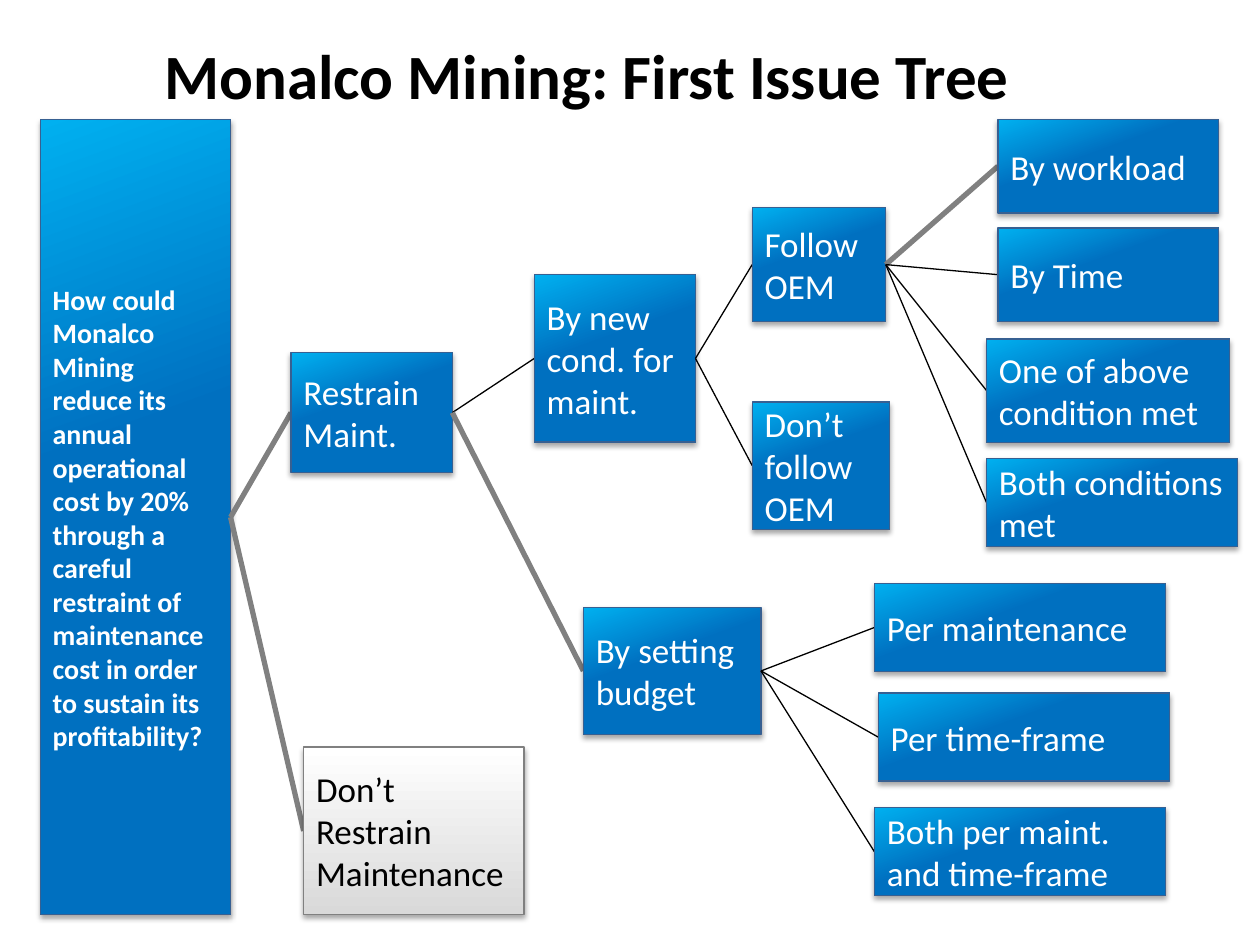
from dataclasses import dataclass

from lxml import etree
from pptx import Presentation
from pptx.dml.color import RGBColor
from pptx.enum.shapes import MSO_CONNECTOR, MSO_SHAPE
from pptx.enum.text import MSO_ANCHOR, MSO_AUTO_SIZE, PP_ALIGN
from pptx.oxml.ns import qn
from pptx.util import Inches, Pt

RECTANGLE = MSO_SHAPE.RECTANGLE
STRAIGHT = MSO_CONNECTOR.STRAIGHT
TOP, MIDDLE = MSO_ANCHOR.TOP, MSO_ANCHOR.MIDDLE
FIT_SHAPE = MSO_AUTO_SIZE.SHAPE_TO_FIT_TEXT
LEFT, CENTER = PP_ALIGN.LEFT, PP_ALIGN.CENTER
LEFT_SIDE, RIGHT_SIDE = 1, 3
TITLE_ONLY = 5
COLUMNS, ROWS = 100, 75
WIDTH, HEIGHT = Inches(10), Inches(7.5)


@dataclass(frozen=True)
class NodeStyle:
    """Look of one kind of tree node."""
    start: str
    end: str
    end_position: float
    angle: int
    outline: str
    ink: str


@dataclass(frozen=True)
class Theme:
    """Colours, type sizes and line widths of the slide."""
    font: str = "Calibri"
    title_size: int = 36
    question_size: int = 16
    node_size: int = 20
    title_ink: str = "000000"
    branch: tuple = ("000000", 0.75)
    main_branch: tuple = ("808080", 3)
    outline_width: float = 0.75
    blue: NodeStyle = NodeStyle("00B0F0", "0070C0", 0.4, 290, "376092", "FFFFFF")
    grey: NodeStyle = NodeStyle("D9D9D9", "FFFFFF", 1, 90, "808080", "000000")


@dataclass(frozen=True)
class Box:
    """Rectangle measured in grid columns and rows."""
    left: float
    top: float
    width: float
    height: float

    def inside(self, left, top, width, height):
        """Return a box offset from this box's top left corner."""
        return Box(self.left + left, self.top + top, width, height)

    def lengths(self):
        """Return left, top, width and height in slide units."""
        column, row = WIDTH / COLUMNS, HEIGHT / ROWS
        return (round(self.left * column), round(self.top * row),
                round(self.width * column), round(self.height * row))


THEME = Theme()


def write(shape, text, size, ink, bold=False, align=LEFT, anchor=MIDDLE):
    """Fill a shape with one formatted run of text."""
    frame = shape.text_frame
    frame.word_wrap = True
    frame.vertical_anchor = anchor
    para = frame.paragraphs[0]
    para.alignment = align
    span = para.add_run()
    span.text = text
    span.font.name, span.font.size, span.font.bold = THEME.font, Pt(size), bold
    span.font.color.rgb = RGBColor.from_string(ink)


def add_soft_shadow(shape):
    """Give a shape a faint shadow that falls straight down."""
    shape.shadow.inherit = False
    effects = shape._element.spPr.find(qn("a:effectLst"))
    shadow = etree.SubElement(effects, qn("a:outerShdw"), blurRad=str(Pt(3.1)),
                              dist=str(Pt(1.8)), dir="5400000", rotWithShape="0")
    colour = etree.SubElement(shadow, qn("a:srgbClr"), val="000000")
    etree.SubElement(colour, qn("a:alpha"), val="35000")


def add_node(page, box, text, style=THEME.blue, size=THEME.node_size, bold=False):
    """Draw one shaded rectangle of the tree."""
    node = page.shapes.add_shape(RECTANGLE, *box.lengths())
    node.fill.gradient()
    node.fill.gradient_angle = style.angle
    first, last = node.fill.gradient_stops
    first.color.rgb, first.position = RGBColor.from_string(style.start), 0
    last.color.rgb, last.position = RGBColor.from_string(style.end), style.end_position
    node.line.color.rgb = RGBColor.from_string(style.outline)
    node.line.width = Pt(THEME.outline_width)
    add_soft_shadow(node)
    write(node, text, size, style.ink, bold)
    return node


def add_child(page, parent, box, text, branch=THEME.branch, style=THEME.blue):
    """Draw a node and the branch that joins it to its parent."""
    colour, width = branch
    line = page.shapes.add_connector(STRAIGHT, 0, 0, 0, 0)
    line.line.color.rgb = RGBColor.from_string(colour)
    line.line.width = Pt(width)
    etree.SubElement(line._element.spPr, qn("a:effectLst"))
    node = add_node(page, box, text, style)
    line.begin_connect(parent, RIGHT_SIDE)
    line.end_connect(node, LEFT_SIDE)
    return node


def add_title(page, box):
    """Place the heading of the slide."""
    title = page.shapes.title
    title.left, title.top, title.width, title.height = box.lengths()
    write(title, "Monalco Mining: First Issue Tree", THEME.title_size,
          THEME.title_ink, True, CENTER, TOP)
    title.text_frame.auto_size = FIT_SHAPE


def add_question(page, box):
    """Place the key question that is the root of the tree."""
    return add_node(page, box, "How could Monalco Mining reduce its annual operational "
                    "cost by 20% through a careful restraint of maintenance cost in "
                    "order to sustain its profitability?",
                    size=THEME.question_size, bold=True)


def add_choices(page, box, question):
    """Place the two answers to the question and return the one pursued."""
    add_child(page, question, box.inside(1, 31.3, 17.5, 13.3),
              "Don’t Restrain Maintenance", THEME.main_branch, THEME.grey)
    return add_child(page, question, box.inside(0, 0, 12.8, 9.5),
                     "Restrain Maint.", THEME.main_branch)


def add_levers(page, box, restrain):
    """Place the two ways to restrain maintenance."""
    conditions = add_child(page, restrain, box.inside(0, 0, 12.8, 13.3),
                           "By new cond. for maint.")
    budget = add_child(page, restrain, box.inside(3.9, 26.4, 14.1, 10.1),
                       "By setting budget", THEME.main_branch)
    return conditions, budget


def add_oem_options(page, box, conditions):
    """Place the options on OEM guidance and return the one followed."""
    add_child(page, conditions, box.inside(0, 15.4, 10.9, 10.1), "Don’t follow OEM")
    return add_child(page, conditions, box.inside(0, 0, 10.6, 9), "Follow OEM")


def add_triggers(page, box, follow):
    """Place the conditions that trigger maintenance."""
    add_child(page, follow, box.inside(0.9, 0, 17.5, 7.4), "By workload",
              THEME.main_branch)
    add_child(page, follow, box.inside(0.9, 8.6, 17.5, 7.4), "By Time")
    add_child(page, follow, box.inside(0, 17.4, 19.3, 8.2), "One of above condition met")
    add_child(page, follow, box.inside(0, 26.9, 19.9, 7), "Both conditions met")


def add_budget_bases(page, box, budget):
    """Place the bases on which a budget can be set."""
    bases = (("Per maintenance", 0, 0), ("Per time-frame", 0.3, 8.7),
             ("Both per maint. and time-frame", 0, 17.8))
    for text, left, top in bases:
        add_child(page, budget, box.inside(left, top, 23.1, 7), text)


def main():
    """Build the issue tree slide and save it."""
    deck = Presentation()
    deck.slide_width, deck.slide_height = WIDTH, HEIGHT
    page = deck.slides.add_slide(deck.slide_layouts[TITLE_ONLY])
    add_title(page, Box(3.2, 2.4, 86.8, 7.1))
    question = add_question(page, Box(3.2, 9.5, 15.1, 63.1))
    restrain = add_choices(page, Box(23.1, 28, 18.5, 44.6), question)
    conditions, budget = add_levers(page, Box(42.4, 21.8, 18, 36.5), restrain)
    follow = add_oem_options(page, Box(59.7, 16.5, 10.9, 25.5), conditions)
    add_triggers(page, Box(78.3, 9.5, 19.9, 33.9), follow)
    add_budget_bases(page, Box(69.4, 46.3, 23.4, 24.8), budget)
    deck.save("out.pptx")


if __name__ == "__main__":
    main()
